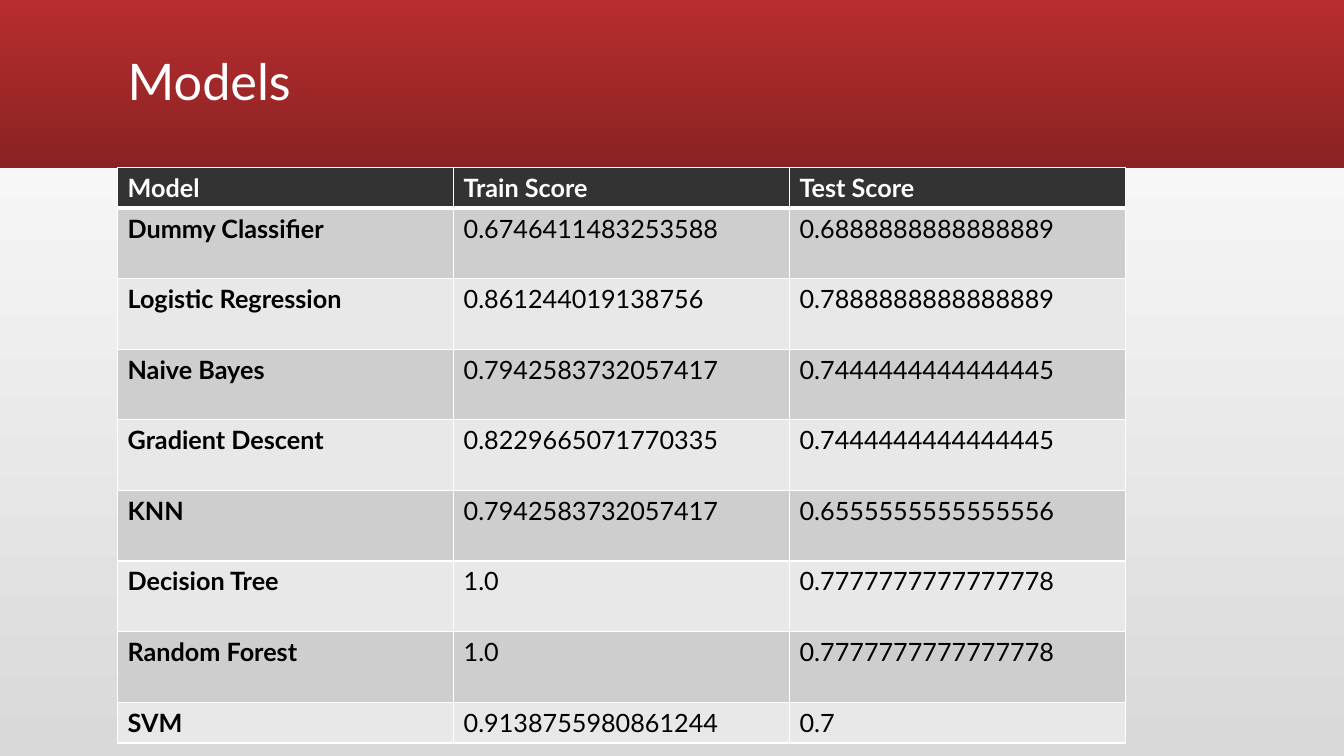
"""Build a slide that compares the train and test scores of models."""
from dataclasses import dataclass

from lxml import etree
from pptx import Presentation
from pptx.dml.color import RGBColor
from pptx.enum.shapes import MSO_SHAPE
from pptx.enum.text import MSO_ANCHOR, PP_ALIGN
from pptx.oxml.ns import qn
from pptx.util import Pt

RECTANGLE = MSO_SHAPE.RECTANGLE
MIDDLE = MSO_ANCHOR.MIDDLE
LEFT = PP_ALIGN.LEFT
TITLE_ONLY = 5
UP, DOWN = 90, 270


@dataclass(frozen=True)
class Theme:
    font: str = "Lato"
    title_size: int = 36
    table_size: int = 18
    white: str = "FFFFFF"
    black: str = "000000"
    backdrop: tuple = ("D9D9D9", "FFFFFF")
    band: tuple = ("B82D2F", "8A2223")
    header: str = "333333"
    stripes: tuple = ("CECECE", "E8E8E8")


THEME = Theme()
SCORES = [
    ("Model", "Train Score", "Test Score"),
    ("Dummy Classifier", "0.6746411483253588", "0.6888888888888889"),
    ("Logistic Regression", "0.861244019138756", "0.7888888888888889"),
    ("Naive Bayes", "0.7942583732057417", "0.7444444444444445"),
    ("Gradient Descent", "0.8229665071770335", "0.7444444444444445"),
    ("KNN", "0.7942583732057417", "0.6555555555555556"),
    ("Decision Tree", "1.0", "0.7777777777777778"),
    ("Random Forest", "1.0", "0.7777777777777778"),
    ("SVM", "0.9138755980861244", "0.7"),
]


def set_gradient(fill, colors, angle):
    fill.gradient()
    fill.gradient_angle = angle
    for stop, color in zip(fill.gradient_stops, colors):
        stop.color.rgb = RGBColor.from_string(color)


def set_font(p, size, color, bold=False):
    p.font.name = THEME.font
    p.font.size = Pt(size)
    p.font.bold = bold
    p.font.color.rgb = RGBColor.from_string(color)


def add_band(s, width, height):
    sp = s.shapes.add_shape(RECTANGLE, 0, 0, width, height)
    sp.shadow.inherit = False
    sp.line.fill.background()
    set_gradient(sp.fill, THEME.band, DOWN)
    s.shapes.element.insert(2, sp.element)


def set_title(s, text):
    sp = s.shapes.title
    sp.left, sp.top, sp.width, sp.height = Pt(84), Pt(8), Pt(792), Pt(104.5)
    tf = sp.text_frame
    tf.text = text
    tf.vertical_anchor = MIDDLE
    p = tf.paragraphs[0]
    p.alignment = LEFT
    p.line_spacing = 0.9
    set_font(p, THEME.title_size, THEME.white)


def set_borders(cell, top, bottom):
    tc_pr = cell._tc.get_or_add_tcPr()
    widths = {"a:lnL": 1, "a:lnR": 1, "a:lnT": top, "a:lnB": bottom}
    for i, (tag, width) in enumerate(widths.items()):
        ln = etree.Element(qn(tag), w=str(Pt(width)))
        fill = etree.SubElement(ln, qn("a:solidFill"))
        etree.SubElement(fill, qn("a:srgbClr"), val=THEME.white)
        tc_pr.insert(i, ln)


def fill_cell(cell, text, row, col):
    header = row == 0
    color = THEME.header if header else THEME.stripes[(row - 1) % 2]
    cell.text = text
    cell.fill.solid()
    cell.fill.fore_color.rgb = RGBColor.from_string(color)
    set_font(cell.text_frame.paragraphs[0], THEME.table_size,
             THEME.white if header else THEME.black, header or col == 0)
    set_borders(cell, top=3 if row == 1 else 1, bottom=3 if header else 1)


def add_scores(s, rows):
    heights = [29.2] + [50.4] * (len(rows) - 2) + [29.2]
    frame = s.shapes.add_table(len(rows), len(rows[0]), Pt(84), Pt(119.5),
                               Pt(720), Pt(sum(heights)))
    table = frame.table
    for r, (values, height) in enumerate(zip(rows, heights)):
        table.rows[r].height = Pt(height)
        for c, text in enumerate(values):
            fill_cell(table.cell(r, c), text, r, c)


def main():
    prs = Presentation()
    prs.slide_width, prs.slide_height = Pt(960), Pt(540)
    s = prs.slides.add_slide(prs.slide_layouts[TITLE_ONLY])
    set_gradient(s.background.fill, THEME.backdrop, UP)
    add_band(s, prs.slide_width, Pt(120))
    set_title(s, "Models")
    add_scores(s, SCORES)
    prs.save("out.pptx")


if __name__ == "__main__":
    main()
